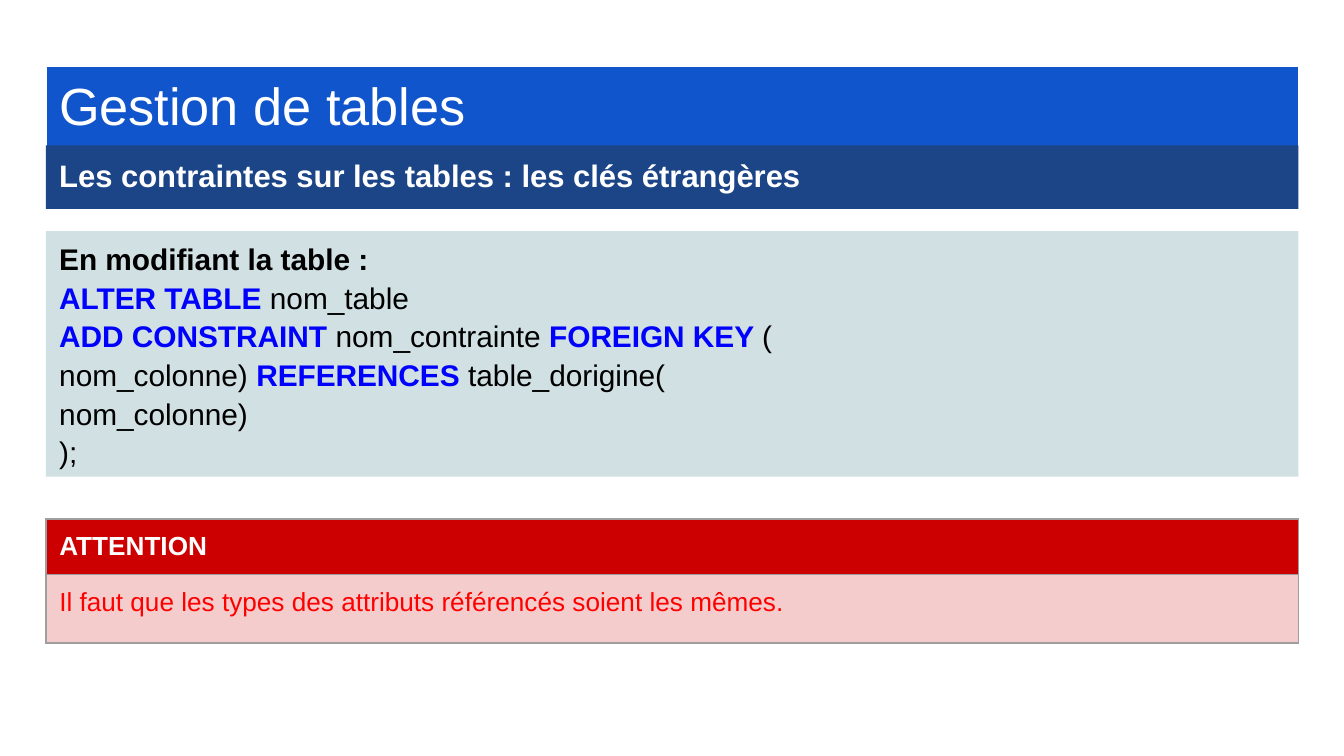
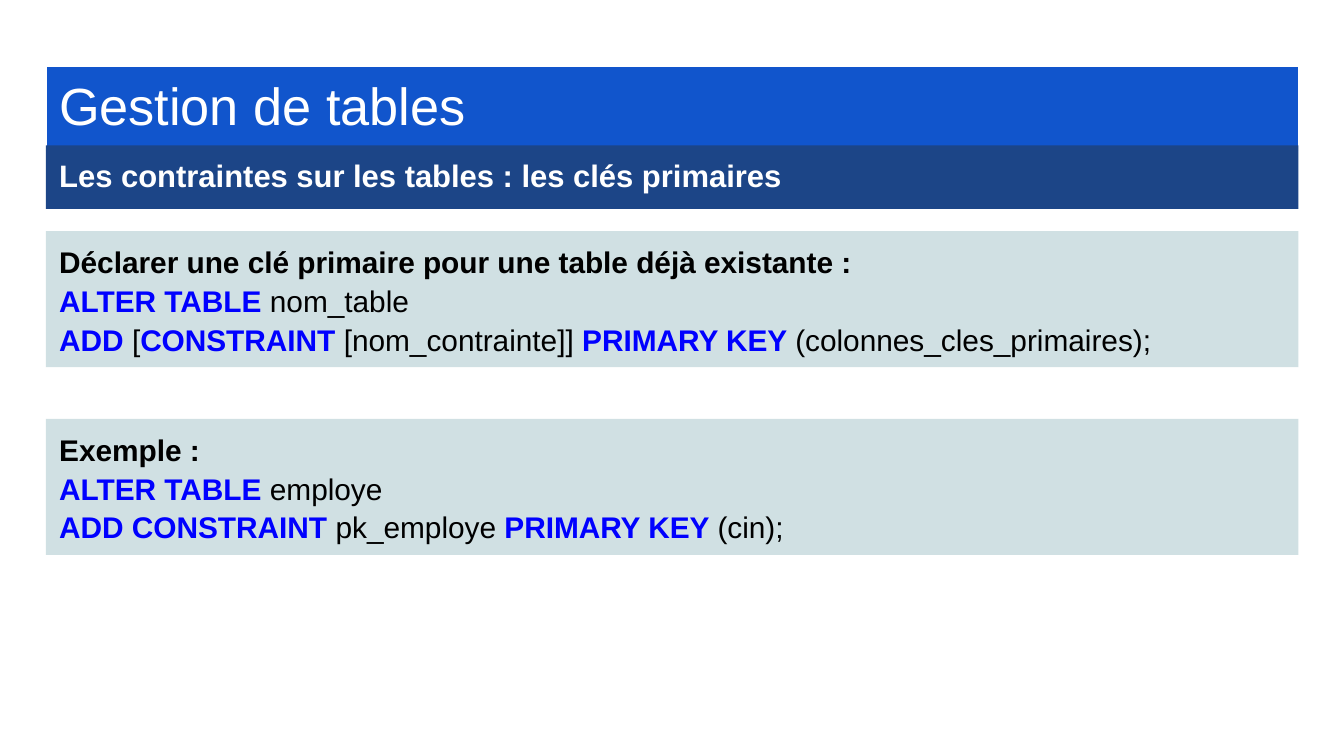
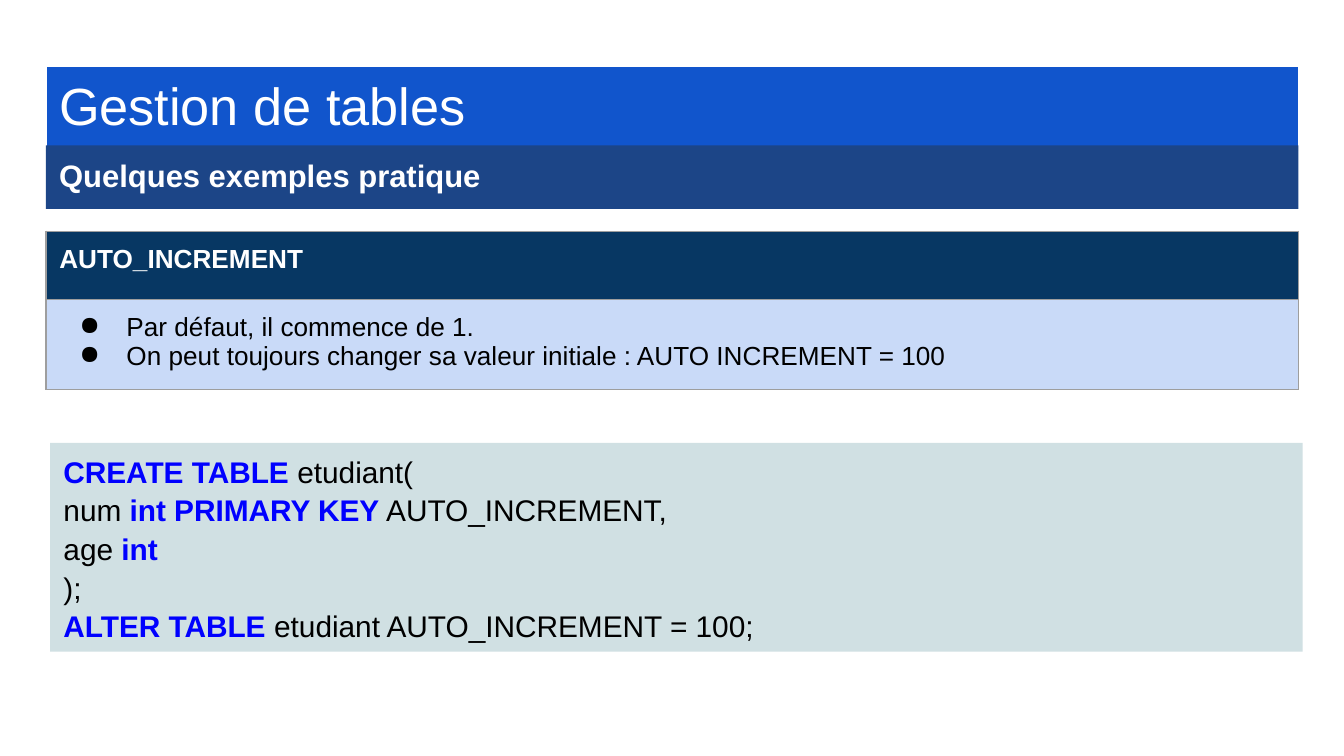
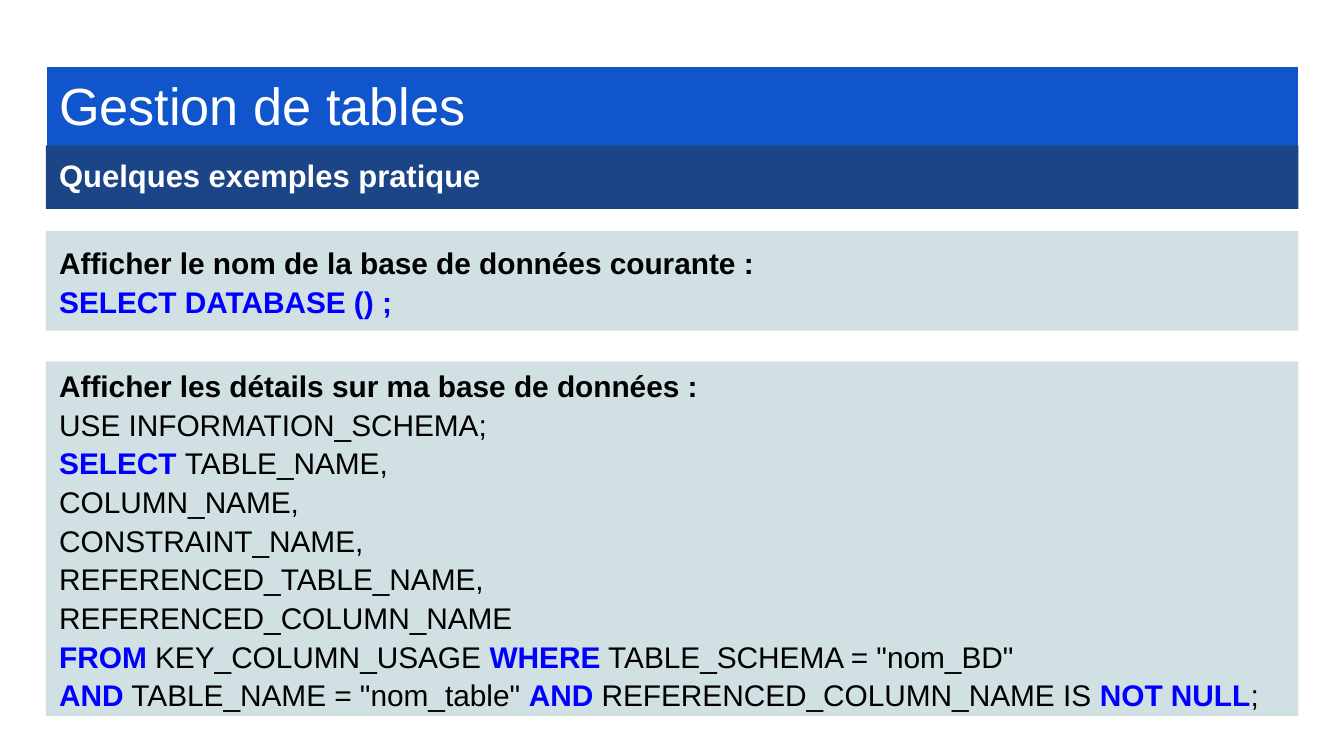
from lxml import etree
from pptx import Presentation
from pptx import util as u
from pptx.dml import color as col
from pptx.enum import shapes, text
from pptx.oxml import ns

Cm, Pt = u.Cm, u.Pt

HUES = {
    "white": "FFFFFF", "black": "000000", "key": "0000FF",
    "title": "1155CC", "sub": "1C4587", "code": "D0E0E3",
    "edge": "9E9E9E", "red": "CC0000", "pink": "F4CCCC",
    "alert": "FF0000", "navy": "073763", "sky": "C9DAF8",
}
FONT = "Arial"
TITLE = "Gestion de tables"
PAD = 0.25                       # inner margin of every box, cm
LEFT, WIDE = 0.87, 23.67         # column shared by all slides, cm
TOP = 4.37                       # where the body starts, cm
ROW = 0.69                       # height of one line of code, cm

FRAME = {
    "word_wrap": True, "auto_size": text.MSO_AUTO_SIZE.NONE,
    "vertical_anchor": text.MSO_ANCHOR.MIDDLE,
    **{f"margin_{side}": Cm(PAD) for side in ("left", "right", "top", "bottom")},
}
CELL = {k: v for k, v in FRAME.items() if k.startswith("margin")}
CELL["vertical_anchor"] = text.MSO_ANCHOR.TOP


def hue(name):
    """Return the named colour."""
    return col.RGBColor.from_string(HUES[name])


def put(item, form):
    """Set each value of a format dict on an object."""
    for name, value in form.items():
        setattr(item, name, value)


def paint(item, name):
    """Fill a shape or a cell with one colour."""
    item.fill.solid()
    item.fill.fore_color.rgb = hue(name)


def write(par, words, size, tone, bold=False):
    """Add one run of text to a paragraph."""
    run = par.add_run()
    run.text = words
    put(run.font, {"name": FONT, "size": Pt(size), "bold": bold})
    run.font.color.rgb = hue(tone)


def lines(frame, items):
    """Yield a paragraph of the frame for each item, with that item."""
    for i, item in enumerate(items):
        yield (frame.add_paragraph() if i else frame.paragraphs[0]), item


def band(slide, box, fill, edge=None):
    """Draw a filled rectangle and return its text frame."""
    shape = slide.shapes.add_shape(shapes.MSO_SHAPE.RECTANGLE, *map(Cm, box))
    shape.shadow.inherit = False
    paint(shape, fill)
    if edge:
        shape.line.color.rgb = hue(edge)
        shape.line.width = Pt(0.75)
    else:
        shape.line.fill.background()
    put(shape.text_frame, FRAME)
    return shape.text_frame


def head(slide, box, sub):
    """Place the title band and, at its foot, the subtitle band."""
    x, y, w, h = box
    parts = (
        (TITLE, (x, y, w, 1.6), "title", "white", 28, False,
         {"line_spacing": 0.9}),
        (sub, (x, y + h - 1.2, w, 1.2), "sub", None, 16.6, True,
         {"line_spacing": 0.95, "space_after": Pt(12)}),
    )
    for words, area, fill, edge, size, bold, form in parts:
        par = band(slide, area, fill, edge).paragraphs[0]
        put(par, {"alignment": text.PP_ALIGN.LEFT, **form})
        write(par, words, size, "white", bold)


def code(slide, spot, rows, lead=None):
    """Place a code box; words between stars are keywords."""
    rows = ([lead] if lead else []) + rows
    box = (*spot, WIDE, 2 * PAD + ROW * len(rows))
    for par, row in lines(band(slide, box, "code"), rows):
        put(par, {"alignment": text.PP_ALIGN.LEFT, "line_spacing": 1.08})
        if row is lead:
            write(par, row, 16, "black", True)
            continue
        for i, part in enumerate(row.split("*")):
            if part:
                key = i % 2 == 1
                write(par, part, 16, "key" if key else "black", key)


def fence(cell):
    """Draw a thin line on the four sides of a cell."""
    props = cell._tc.get_or_add_tcPr()
    for i, side in enumerate(("lnL", "lnR", "lnT", "lnB")):
        line = etree.Element(ns.qn(f"a:{side}"), w=str(Pt(0.75)))
        fill = etree.SubElement(line, ns.qn("a:solidFill"))
        etree.SubElement(fill, ns.qn("a:srgbClr"), val=HUES["edge"])
        props.insert(i, line)


def dot(par):
    """Give a paragraph a round bullet and a hanging indent."""
    props = par._p.get_or_add_pPr()
    props.set("marL", str(Cm(1.27)))
    props.set("indent", str(Cm(-0.89)))
    tint = etree.SubElement(props, ns.qn("a:buClr"))
    etree.SubElement(tint, ns.qn("a:srgbClr"), val=HUES["black"])
    etree.SubElement(props, ns.qn("a:buChar"), char="●")


def note(slide, spot, highs, name, body, look, dots=False):
    """Place a two-row table: a dark heading above a pale body."""
    dark, pale, tone = look
    box = (*spot, WIDE, sum(highs))
    grid = slide.shapes.add_table(2, 1, *map(Cm, box)).table
    put(grid, {"first_row": False, "horz_banding": False})
    cells = (([name], dark, "white", True), (body, pale, tone, False))
    for i, (rows, fill, ink, bold) in enumerate(cells):
        grid.rows[i].height = Cm(highs[i])
        cell = grid.cell(i, 0)
        put(cell, CELL)
        paint(cell, fill)
        fence(cell)
        for par, row in lines(cell.text_frame, rows):
            write(par, row, 14, ink, bold)
            if dots and i:
                dot(par)


def page(deck, sub):
    """Add a blank slide with the shared heading."""
    slide = deck.slides.add_slide(deck.slide_layouts[6])
    head(slide, (LEFT, 1.25, WIDE, 2.7), sub)
    return slide


def foreign(deck):
    """Build the slide on foreign keys."""
    slide = page(deck, "Les contraintes sur les tables : les clés étrangères")
    code(slide, (LEFT, TOP), [
        "*ALTER TABLE *nom_table",
        "*ADD CONSTRAINT *nom_contrainte* FOREIGN KEY *(",
        "nom_colonne) *REFERENCES* table_dorigine(",
        "nom_colonne)",
        ");",
    ], "En modifiant la table :")
    note(slide, (LEFT, 9.81), (0.79, 1.29), "ATTENTION",
         ["Il faut que les types des attributs référencés soient les mêmes."],
         ("red", "pink", "alert"))


def primary(deck):
    """Build the slide on primary keys."""
    slide = page(deck, "Les contraintes sur les tables : les clés primaires")
    code(slide, (LEFT, TOP), [
        "*ALTER TABLE *nom_table",
        "*ADD *[*CONSTRAINT *[nom_contrainte]]* PRIMARY KEY *"
        "(colonnes_cles_primaires);",
    ], "Déclarer une clé primaire pour une table déjà existante :")
    code(slide, (LEFT, 7.92), [
        "*ALTER TABLE *employe",
        "*ADD CONSTRAINT *pk_employe* PRIMARY KEY *(cin);",
    ], "Exemple :")


def counter(deck):
    """Build the slide on automatic numbering."""
    slide = page(deck, "Quelques exemples pratique")
    note(slide, (LEFT, TOP), (1.29, 1.7), "AUTO_INCREMENT", [
        "Par défaut, il commence de 1.",
        "On peut toujours changer sa valeur initiale : AUTO INCREMENT = 100",
    ], ("navy", "sky", "black"), dots=True)
    code(slide, (0.95, 8.37), [
        "*CREATE TABLE* etudiant(",
        "num *int PRIMARY KEY* AUTO_INCREMENT,",
        "age *int*",
        ");",
        "*ALTER TABLE* etudiant AUTO_INCREMENT = 100;",
    ])


def detail(deck):
    """Build the slide on reading a database's details."""
    slide = page(deck, "Quelques exemples pratique")
    code(slide, (LEFT, TOP), ["*SELECT DATABASE () ;*"],
         "Afficher le nom de la base de données courante :")
    code(slide, (LEFT, 6.83), [
        "USE INFORMATION_SCHEMA;",
        "*SELECT *TABLE_NAME,",
        "COLUMN_NAME,",
        "CONSTRAINT_NAME,",
        "REFERENCED_TABLE_NAME,",
        "REFERENCED_COLUMN_NAME",
        '*FROM* KEY_COLUMN_USAGE *WHERE* TABLE_SCHEMA = "nom_BD"',
        '*AND* TABLE_NAME = "nom_table" *AND* REFERENCED_COLUMN_NAME IS '
        "*NOT NULL*;",
    ], "Afficher les détails sur ma base de données :")


deck = Presentation()
put(deck, {"slide_width": Cm(25.4), "slide_height": Cm(14.29)})
for build in (foreign, primary, counter, detail):
    build(deck)
deck.save("out.pptx")
